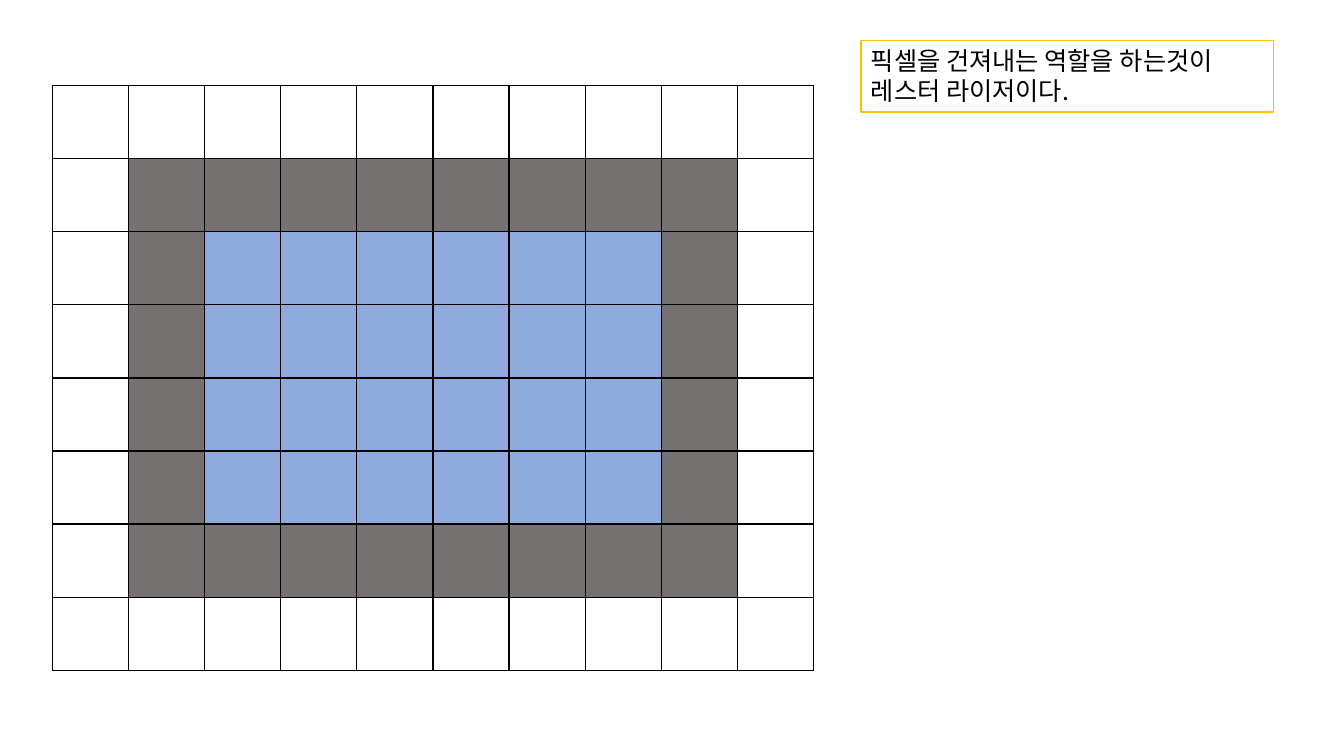
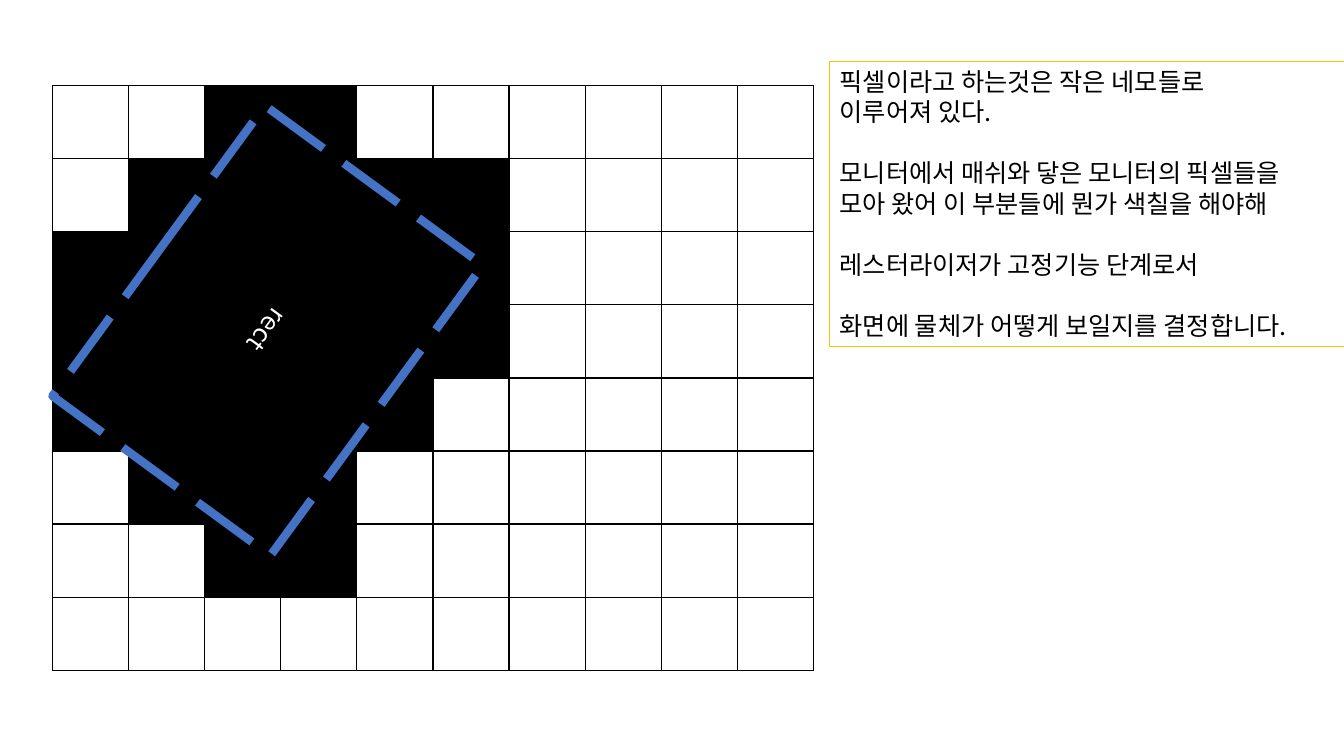
from dataclasses import dataclass

from lxml.etree import SubElement
from pptx import Presentation
from pptx.dml.color import RGBColor
from pptx.enum.dml import MSO_LINE_DASH_STYLE as DASH
from pptx.enum.shapes import MSO_SHAPE as SHAPE
from pptx.enum.text import MSO_ANCHOR as ANCHOR, PP_ALIGN as ALIGN
from pptx.oxml.ns import qn
from pptx.util import Inches, Pt


@dataclass(frozen=True)
class Theme:
    """Colours, font and sizes shared by the slides."""
    white: str = "FFFFFF"
    black: str = "000000"
    gray: str = "767171"
    light_blue: str = "8FAADC"
    blue: str = "4472C4"
    gold: str = "FFC000"
    font: str = "Noto Sans CJK KR"
    size: int = 18
    thin: int = 1
    thick: int = 6
    gap: int = 22


T = Theme()
GRID_BOX = (0.52, 0.85, 7.55, 5.8)
PIXEL_FILLS = {".": T.white, "#": T.black, "g": T.gray, "b": T.light_blue}
FRAME_PIXELS = [
    "..........",
    ".gggggggg.",
    *[".gbbbbbbg."] * 4,
    ".gggggggg.",
    "..........",
]
COVERED_PIXELS = [
    "..##......",
    ".#####....",
    "######....",
    "######....",
    "#####.....",
    ".###......",
    "..##......",
    "..........",
]


def rgb(color):
    """Turn a theme colour into an RGBColor."""
    return RGBColor.from_string(color)


def style_text(p, color):
    """Give every run of a paragraph the shared font."""
    for r in p.runs:
        r.font.size = Pt(T.size)
        r.font.name = T.font
        r.font.color.rgb = rgb(color)
        SubElement(r.font._element, qn("a:ea"), typeface=T.font)


def border_cell(cell):
    """Draw a thin black border on all four sides of a cell."""
    props = cell._tc.get_or_add_tcPr()
    for i, side in enumerate(("lnL", "lnR", "lnT", "lnB")):
        line = props.makeelement(qn(f"a:{side}"), {"w": str(Pt(T.thin))})
        fill = SubElement(line, qn("a:solidFill"))
        SubElement(fill, qn("a:srgbClr"), val=T.black)
        props.insert(i, line)


def add_pixel_grid(s, box, pixels):
    """Fill the box with equal cells coloured by the pixel rows."""
    left, top, width, height = box
    rows, cols = len(pixels), len(pixels[0])
    table = s.shapes.add_table(rows, cols, Inches(left), Inches(top),
                               Inches(width), Inches(height)).table
    table.first_row = table.horz_banding = False
    for col in table.columns:
        col.width = Inches(width / cols)
    for row, codes in zip(table.rows, pixels):
        row.height = Inches(height / rows)
        for cell, code in zip(row.cells, codes):
            cell.fill.solid()
            cell.fill.fore_color.rgb = rgb(PIXEL_FILLS[code])
            border_cell(cell)


def add_outlined_box(s, box, color, weight):
    """Add a rectangle with an outline and no fill or shadow."""
    sp = s.shapes.add_shape(SHAPE.RECTANGLE, *map(Inches, box))
    sp.shadow.inherit = False
    sp.fill.background()
    sp.line.color.rgb = rgb(color)
    sp.line.width = Pt(weight)
    return sp


def add_note(s, box, blocks):
    """Add a gold-framed note; each block of lines is set off by a gap."""
    sp = add_outlined_box(s, box, T.gold, T.thin)
    sp.fill.solid()
    sp.fill.fore_color.rgb = rgb(T.white)
    tf = sp.text_frame
    tf.word_wrap = True
    tf.vertical_anchor = ANCHOR.TOP
    tf.text = "\n".join(line for block in blocks for line in block)
    paragraphs = iter(tf.paragraphs)
    for b, block in enumerate(blocks):
        for i, p in zip(range(len(block)), paragraphs):
            p.alignment = ALIGN.LEFT
            p.space_before = Pt(T.gap if b and i == 0 else 0)
            style_text(p, T.black)


def add_mesh(s, box, angle, label):
    """Add the rotated dashed rectangle with its label."""
    sp = add_outlined_box(s, box, T.blue, T.thick)
    sp.line.dash_style = DASH.LONG_DASH
    sp.rotation = angle
    tf = sp.text_frame
    tf.text = label
    tf.vertical_anchor = ANCHOR.MIDDLE
    p = tf.paragraphs[0]
    p.alignment = ALIGN.CENTER
    style_text(p, T.white)


def add_grid_slide(prs, pixels):
    """Add a blank slide with the pixel grid in its usual place."""
    s = prs.slides.add_slide(prs.slide_layouts[6])
    add_pixel_grid(s, GRID_BOX, pixels)
    return s


def build_frame_slide(prs):
    """Show the framed block of pixels."""
    s = add_grid_slide(prs, FRAME_PIXELS)
    add_note(s, (8.54, 0.4, 4.09, 0.71), [
        ["픽셀을 건져내는 역할을 하는것이", "레스터 라이저이다."],
    ])


def build_mesh_slide(prs):
    """Show the pixels touched by a rotated rectangle."""
    s = add_grid_slide(prs, COVERED_PIXELS)
    add_mesh(s, (0.87, 1.94, 3.57, 2.68), 126.2, "rect")
    add_note(s, (8.23, 0.61, 5.12, 2.83), [
        ["픽셀이라고 하는것은 작은 네모들로", "이루어져 있다."],
        ["모니터에서 매쉬와 닿은 모니터의 픽셀들을",
         "모아 왔어 이 부분들에 뭔가 색칠을 해야해"],
        ["레스터라이저가 고정기능 단계로서"],
        ["화면에 물체가 어떻게 보일지를 결정합니다."],
    ])


prs = Presentation()
prs.slide_width, prs.slide_height = Inches(13.33), Inches(7.5)
build_frame_slide(prs)
build_mesh_slide(prs)
prs.save("out.pptx")
